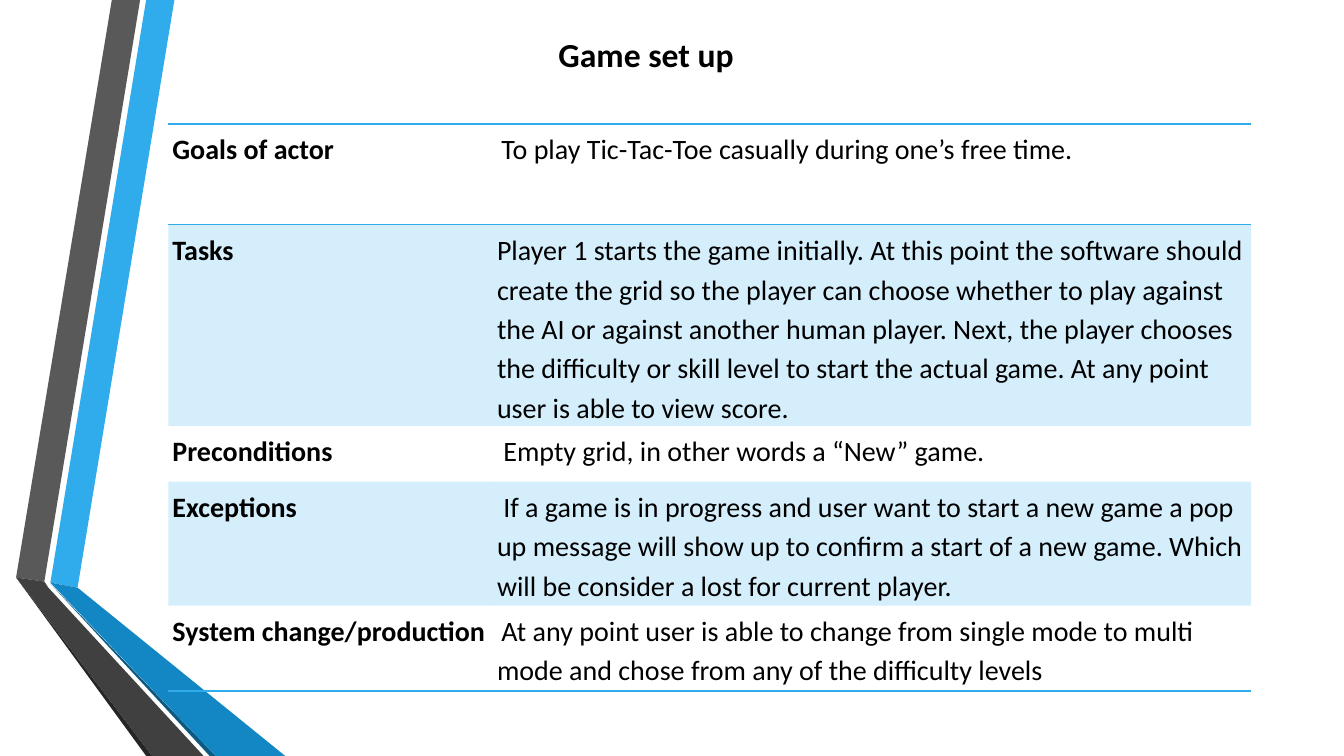
from dataclasses import dataclass

from lxml.etree import SubElement
from pptx import Presentation
from pptx.dml.color import RGBColor
from pptx.oxml.ns import qn
from pptx.util import Emu, Pt

PX = 9144


@dataclass(frozen=True)
class Theme:
    """Colours and type sizes of the slide."""
    font: str = "Calibri"
    ink: str = "000000"
    accent: str = "30ACEC"
    accent_dark: str = "1287C3"
    accent_edge: str = "0C5A82"
    grey: str = "595959"
    grey_dark: str = "404040"
    grey_edge: str = "262626"
    title: int = 24
    body: int = 20
    lead: int = 14
    band_alpha: int = 20000


THEME = Theme()

RIBBONS = [
    (THEME.accent, [(34, 578), (61, 583), (157, 0), (129, 0)]),
    (THEME.grey, [(123, 0), (95, 0), (0, 573), (28, 577)]),
    (THEME.grey_edge, [(0, 573), (129, 750), (135, 750)]),
    (THEME.accent_edge, [(34, 579), (192, 750), (198, 750)]),
    (THEME.accent_dark, [(34, 578), (198, 750), (267, 750), (61, 583)]),
    (THEME.grey_dark, [(186, 750), (32, 583), (28, 577), (0, 573), (135, 750)]),
]

COLUMNS = [322, 752]
ROWS = [
    (100, "Goals of actor", [
        (" ", THEME.lead),
        ("To play Tic-Tac-Toe casually during one’s free time.", THEME.body)]),
    (171, "Tasks", [
        ("Player 1 starts the game initially. At this point the software should "
         "create the grid so the player can choose whether to play against the AI "
         "or against another human player. Next, the player chooses the difficulty "
         "or skill level to start the actual game. At any point user is able to "
         "view score.", THEME.body)]),
    (55, "Preconditions", [
        (" Empty grid, in other words a “New” game.", THEME.body)]),
    (107, "Exceptions", [
        (" If a game is in progress and user want to start a new game a pop up "
         "message will show up to confirm a start of a new game. Which will be "
         "consider a lost for current player.", THEME.body)]),
    (50, "System change/production", [
        (" ", THEME.lead),
        ("At any point user is able to change from single mode to multi mode and "
         "chose from any of the difficulty levels", THEME.body)]),
]
RULED_TOPS = {0, 1}
RULED_BOTTOMS = {0, len(ROWS) - 1}


def px(length):
    """Turn whole px into EMU."""
    return Emu(length * PX)


def add_text(para, text, size=THEME.body, bold=False, color=THEME.ink):
    """Append one formatted run to a paragraph."""
    span = para.add_run()
    span.text = text
    span.font.name = THEME.font
    span.font.size = Pt(size)
    span.font.bold = bold
    span.font.color.rgb = RGBColor.from_string(color)


def add_ribbons(page, left, top):
    """Draw the folded ribbons from the given corner."""
    group = page.shapes.add_group_shape()
    for color, points in RIBBONS:
        corners = [(left + x, top + y) for x, y in points]
        builder = group.shapes.build_freeform(*corners[0], scale=PX)
        builder.add_line_segments(corners[1:], close=True)
        ribbon = builder.convert_to_shape()
        ribbon.shadow.inherit = False
        ribbon.fill.solid()
        ribbon.fill.fore_color.rgb = RGBColor.from_string(color)
        ribbon.line.fill.background()


def add_title(page, left, top, width, height):
    """Place the slide title in its box."""
    box = page.shapes.add_textbox(px(left), px(top), px(width), px(height))
    box.text_frame.word_wrap = True
    add_text(box.text_frame.paragraphs[0], "Game set up", size=THEME.title, bold=True)


def set_borders(cell, ruled):
    """Rule the named sides of a cell and clear the others."""
    properties = cell._tc.get_or_add_tcPr()
    for side in "LRTB":
        line = SubElement(properties, qn(f"a:ln{side}"), w=str(Pt(1)))
        if side in ruled:
            paint = SubElement(line, qn("a:solidFill"))
            SubElement(paint, qn("a:srgbClr"), val=THEME.accent)
        else:
            SubElement(line, qn("a:noFill"))


def set_band(cell, banded):
    """Give a cell the pale band fill or none."""
    if not banded:
        cell.fill.background()
        return
    cell.fill.solid()
    cell.fill.fore_color.rgb = RGBColor.from_string(THEME.accent)
    color = cell._tc.get_or_add_tcPr().find(qn("a:solidFill"))[0]
    SubElement(color, qn("a:alpha"), val=str(THEME.band_alpha))


def add_use_case(page, left, top):
    """Build the use case table from the given corner."""
    heights = [height for height, _, _ in ROWS]
    table = page.shapes.add_table(len(ROWS), len(COLUMNS), px(left), px(top),
                                  px(sum(COLUMNS)), px(sum(heights))).table
    table.first_row = table.horz_banding = False
    for column, width in zip(table.columns, COLUMNS):
        column.width = px(width)
    for index, (height, label, details) in enumerate(ROWS):
        table.rows[index].height = px(height)
        ruled = "T" * (index in RULED_TOPS) + "B" * (index in RULED_BOTTOMS)
        contents = [([(label, THEME.body)], True), (details, False)]
        for cell, (spans, bold) in zip(table.rows[index].cells, contents):
            cell.margin_left = cell.margin_right = px(4)
            cell.margin_top = cell.margin_bottom = px(4)
            set_borders(cell, ruled)
            set_band(cell, index % 2 == 1)
            para = cell.text_frame.paragraphs[0]
            para.line_spacing = 1.15
            for text, size in spans:
                add_text(para, text, size=size, bold=bold)


def main():
    """Build and save the deck."""
    deck = Presentation()
    deck.slide_width, deck.slide_height = px(1333), px(750)
    page = deck.slides.add_slide(deck.slide_layouts[6])
    add_ribbons(page, 16, 0)
    add_title(page, 544, 29, 321, 50)
    add_use_case(page, 167, 123)
    deck.save("out.pptx")


if __name__ == "__main__":
    main()
